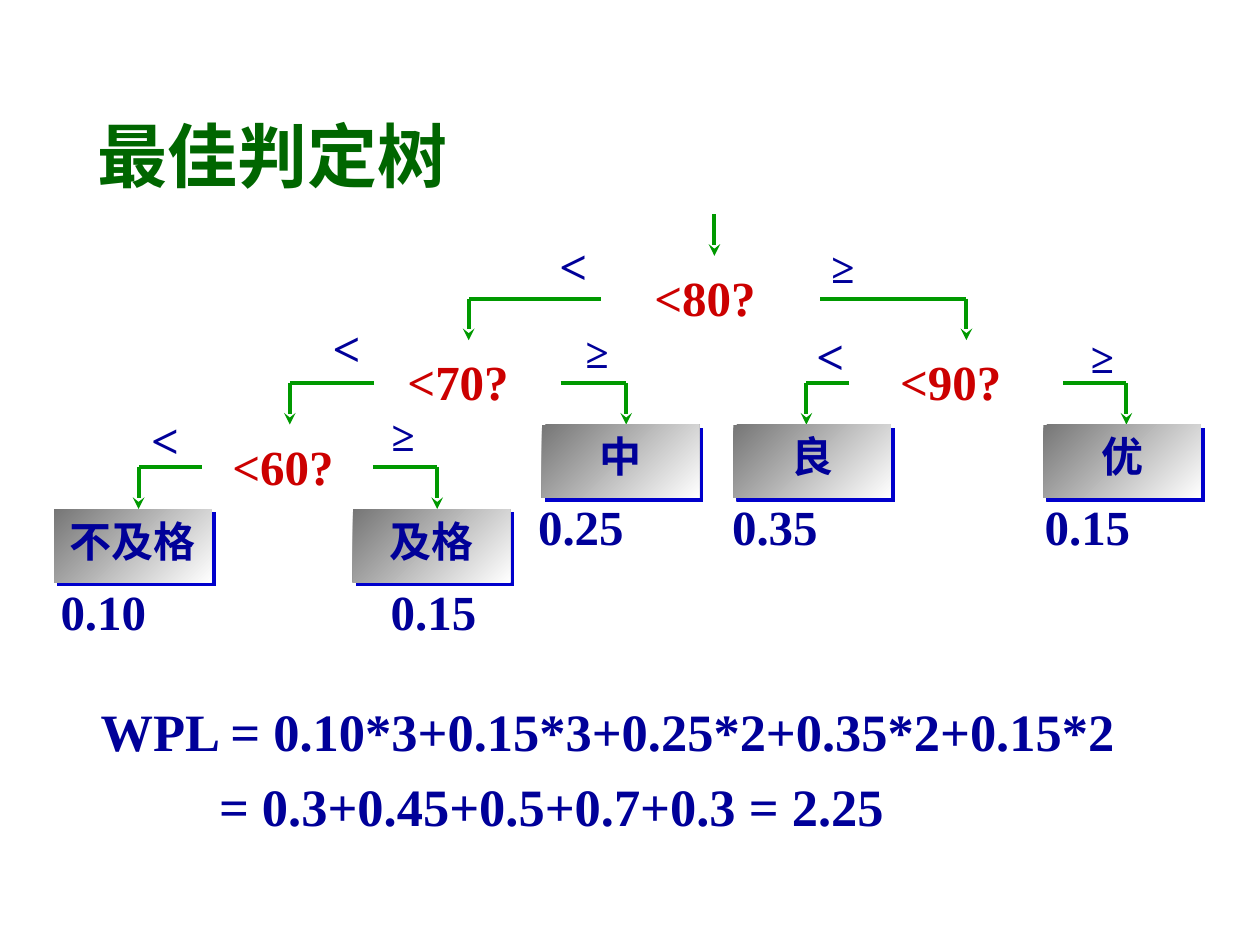
"""Build the optimal decision tree slide with its weighted path length."""
from lxml.etree import SubElement
from pptx import Presentation
from pptx.dml.color import RGBColor
from pptx.enum.shapes import MSO_CONNECTOR, MSO_SHAPE
from pptx.enum.text import MSO_ANCHOR, PP_ALIGN
from pptx.oxml.ns import qn
from pptx.util import Inches, Pt

THEME = {
    "font": "Times New Roman",
    "title": "006600", "text": "000099", "question": "CC0000",
    "line": "009900", "shadow": "0000CC", "dark": "767676", "light": "FFFFFF",
    "title_size": 40, "formula_size": 30, "large": 28, "small": 24,
}
TITLE = "最佳判定树"
QUESTIONS = [("<80?", 5.09, 1), ("<70?", 3.13, 2), ("<90?", 7.04, 2), ("<60?", 1.74, 3)]
BRANCHES = [
    (1, 4.77, 3.72, "<", 4.34, 1.82), (1, 6.51, 7.67, "≥", 6.42, 1.87),
    (2, 2.97, 2.3, "<", 2.54, 2.47), (2, 4.45, 4.97, "≥", 4.47, 2.54),
    (2, 6.74, 6.4, "<", 6.38, 2.53), (2, 8.44, 8.94, "≥", 8.48, 2.58),
    (3, 1.6, 1.1, "<", 1.1, 3.2), (3, 2.96, 3.47, "≥", 2.93, 3.2),
]
GRADES = [
    ("不及格", 0.43, 3, "0.10", 0.38), ("及格", 2.8, 3, "0.15", 3),
    ("中", 4.3, 2, "0.25", 4.17), ("良", 5.82, 2, "0.35", 5.71),
    ("优", 8.28, 2, "0.15", 8.19),
]
FORMULA = [("WPL = 0.10*3+0.15*3+0.25*2+0.35*2+0.15*2", 0, 0),
           ("= 0.3+0.45+0.5+0.7+0.3 = 2.25", 0.94, 7)]
ROOT_X, TOP, LEVEL_GAP, DROP = 5.67, 1.7, 0.67, 0.33
BOX_W, BOX_H, WEIGHT_GAP = 1.25, 0.58, 0.52
SIGN_SIZES = {"<": ("large", 0.42, 0.57), "≥": ("small", 0.54, 0.5)}


def rgb(name):
    return RGBColor.from_string(THEME[name])


def level_y(level):
    return TOP + level * LEVEL_GAP


def style(p, size, color, align=PP_ALIGN.CENTER):
    p.alignment = align
    p.font.name = THEME["font"]
    p.font.size = Pt(THEME[size])
    p.font.bold = True
    p.font.color.rgb = rgb(color)


def add_label(s, text, x, y, w, h, size, color):
    tf = s.shapes.add_textbox(*map(Inches, (x, y, w, h))).text_frame
    tf.word_wrap = False
    tf.vertical_anchor = MSO_ANCHOR.MIDDLE
    tf.text = text
    style(tf.paragraphs[0], size, color)


def add_line(s, x1, y1, x2, y2, arrow=False):
    line = s.shapes.add_connector(MSO_CONNECTOR.STRAIGHT, *map(Inches, (x1, y1, x2, y2)))
    line.line.color.rgb = rgb("line")
    line.line.width = Pt(2.25)
    if arrow:
        SubElement(line.line._get_or_add_ln(), qn("a:tailEnd"), type="stealth")
    SubElement(line._element.spPr, qn("a:effectLst"))


def add_grade(s, text, x, y):
    sp = s.shapes.add_shape(MSO_SHAPE.RECTANGLE, *map(Inches, (x, y, BOX_W, BOX_H)))
    sp.fill.gradient()
    sp.fill.gradient_angle = 315
    for stop, color in zip(sp.fill.gradient_stops, ("dark", "light")):
        stop.color.rgb = rgb(color)
    sp.line.fill.background()
    sp.shadow.inherit = False
    effects = sp._element.spPr.find(qn("a:effectLst"))
    shadow = SubElement(effects, qn("a:outerShdw"), dist=str(Pt(2.8)),
                        dir="2700000", algn="ctr", rotWithShape="0")
    SubElement(shadow, qn("a:srgbClr"), val=THEME["shadow"])
    tf = sp.text_frame
    tf.word_wrap = False
    tf.vertical_anchor = MSO_ANCHOR.TOP
    tf.text = text
    style(tf.paragraphs[0], "small", "text")


def add_title(s):
    title = s.shapes.title
    title.left, title.top, title.width, title.height = map(Inches, (0.67, 0.84, 2.98, 0.77))
    tf = title.text_frame
    tf.word_wrap = False
    tf.vertical_anchor = MSO_ANCHOR.MIDDLE
    tf.text = TITLE
    style(tf.paragraphs[0], "title_size", "title")


def add_formula(s):
    tf = s.shapes.add_textbox(*map(Inches, (0.7, 5.5, 8.28, 1.12))).text_frame
    tf.word_wrap = False
    for i, (text, indent, gap) in enumerate(FORMULA):
        p = tf.add_paragraph() if i else tf.paragraphs[0]
        p.text = text
        p._p.get_or_add_pPr().set("marL", str(Inches(indent)))
        p.space_before = Pt(gap)
        style(p, "formula_size", "text", PP_ALIGN.LEFT)


def main():
    prs = Presentation()
    prs.slide_width, prs.slide_height = Inches(10), Inches(7.5)
    s = prs.slides.add_slide(prs.slide_layouts[5])
    add_title(s)
    add_line(s, ROOT_X, TOP, ROOT_X, TOP + DROP, arrow=True)
    for level, start, end, sign, x, y in BRANCHES:
        turn = level_y(level)
        add_line(s, start, turn, end, turn)
        add_line(s, end, turn, end, turn + DROP, arrow=True)
        size, w, h = SIGN_SIZES[sign]
        add_label(s, sign, x, y, w, h, size, "text")
    for text, x, level in QUESTIONS:
        add_label(s, text, x, level_y(level) - 0.3, 1.01, 0.57, "large", "question")
    for text, x, level, weight, weight_x in GRADES:
        y = level_y(level) + DROP
        add_grade(s, text, x, y)
        add_label(s, weight, weight_x, y + WEIGHT_GAP, 0.88, 0.57, "large", "text")
    add_formula(s)
    prs.save("out.pptx")


if __name__ == "__main__":
    main()
